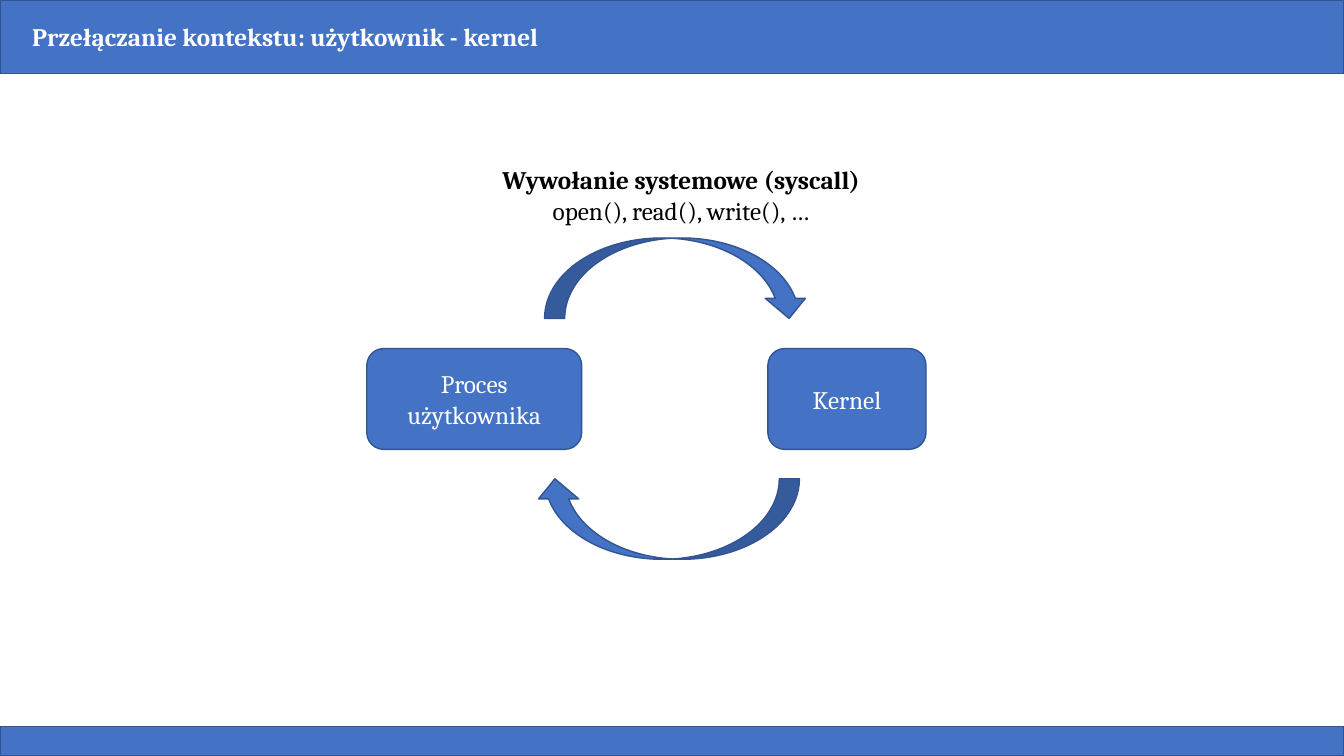
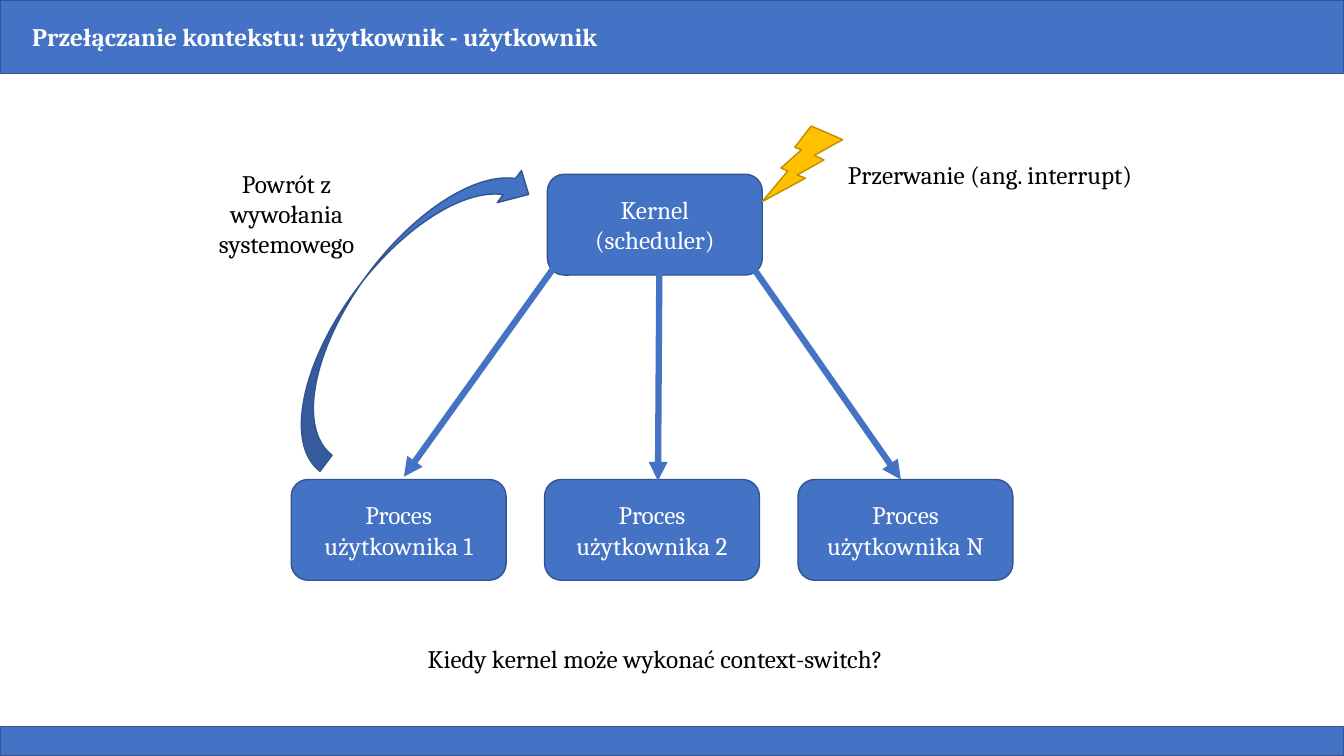
from lxml import etree
from pptx import Presentation
from pptx.dml.color import RGBColor
from pptx.enum import shapes, text
from pptx.oxml import ns
from pptx.util import Pt

COLORS = {
    "blue": "4472C4",
    "blue_edge": "325491",
    "gold": "FFC000",
    "gold_edge": "BD8E00",
    "white": "FFFFFF",
    "black": "000000",
}
FONT = "Cambria"
FONT_SIZE = 18
SLIDE_WIDTH, SLIDE_HEIGHT = 960, 540
TITLE_HEIGHT, TITLE_INDENT = 52.5, 23
FOOTER_TOP, FOOTER_HEIGHT = 519, 20.5
BOX_WIDTH, BOX_HEIGHT = 153.5, 72
ARROW_HEIGHT = 57.5
SHAPE = shapes.MSO_SHAPE


def rgb(name):
    return RGBColor.from_string(COLORS[name])


def write(shape, content, color, align=text.PP_ALIGN.CENTER, bold_first=False):
    """Fill a shape with text, one paragraph per line."""
    frame = shape.text_frame
    frame.text = content
    frame.word_wrap = True
    for index, paragraph in enumerate(frame.paragraphs):
        paragraph.alignment = align
        for run in paragraph.runs:
            run.font.name = FONT
            run.font.size = Pt(FONT_SIZE)
            run.font.bold = bold_first and index == 0
            run.font.color.rgb = rgb(color)


def add_block(slide, kind, left, top, width, height, color="blue"):
    shape = slide.shapes.add_shape(kind, Pt(left), Pt(top), Pt(width), Pt(height))
    shape.shadow.inherit = False
    shape.fill.solid()
    shape.fill.fore_color.rgb = rgb(color)
    shape.line.color.rgb = rgb(color + "_edge")
    shape.line.width = Pt(1)
    return shape


def add_box(slide, content, left, top, width=BOX_WIDTH):
    box = add_block(slide, SHAPE.ROUNDED_RECTANGLE, left, top, width, BOX_HEIGHT)
    box.text_frame.vertical_anchor = text.MSO_ANCHOR.MIDDLE
    write(box, content, "white")


def add_curved_arrow(slide, left, top, width, rotation=0):
    arrow = add_block(slide, SHAPE.CURVED_DOWN_ARROW, left, top, width, ARROW_HEIGHT)
    arrow.rotation = rotation


def add_label(slide, content, left, top, width, height=29, bold_first=False):
    label = slide.shapes.add_textbox(Pt(left), Pt(top), Pt(width), Pt(height))
    write(label, content, "black", bold_first=bold_first)
    label.text_frame.auto_size = text.MSO_AUTO_SIZE.SHAPE_TO_FIT_TEXT


def add_straight_arrow(slide, start, end):
    points = [Pt(value) for value in (*start, *end)]
    arrow = slide.shapes.add_connector(shapes.MSO_CONNECTOR.STRAIGHT, *points)
    arrow.line.color.rgb = rgb("blue")
    arrow.line.width = Pt(4.5)
    line = arrow.line._get_or_add_ln()
    etree.SubElement(line, ns.qn("a:tailEnd"), type="triangle")
    etree.SubElement(arrow.element.spPr, ns.qn("a:effectLst"))


def add_lightning(slide, left, top, width, height):
    bolt = add_block(slide, SHAPE.LIGHTNING_BOLT, left, top, width, height, "gold")
    bolt.element.spPr.find(ns.qn("a:xfrm")).set("flipH", "1")


def add_slide(presentation, title):
    """Add a blank slide with the footer and title bands."""
    slide = presentation.slides.add_slide(presentation.slide_layouts[6])
    add_block(slide, SHAPE.RECTANGLE, 0, FOOTER_TOP, SLIDE_WIDTH, FOOTER_HEIGHT)
    band = add_block(slide, SHAPE.RECTANGLE, 0, 0, SLIDE_WIDTH, TITLE_HEIGHT)
    band.text_frame.margin_left = Pt(TITLE_INDENT)
    band.text_frame.vertical_anchor = text.MSO_ANCHOR.MIDDLE
    write(band, title, "white", text.PP_ALIGN.LEFT, bold_first=True)
    return slide


def build_user_kernel(presentation):
    slide = add_slide(presentation, "Przełączanie kontekstu: użytkownik - kernel")

    # Process and kernel
    add_box(slide, "Proces użytkownika", 262, 249)
    add_box(slide, "Kernel", 548.5, 249, 113)

    # Call and return
    add_curved_arrow(slide, 389, 170, 189)
    add_curved_arrow(slide, 382, 342, 189, rotation=180)
    add_label(slide, "Wywołanie systemowe (syscall)\nopen(), read(), write(), …",
              332, 114, 309, 51, bold_first=True)


def build_user_user(presentation):
    slide = add_slide(presentation, "Przełączanie kontekstu: użytkownik - użytkownik")

    # Process row under the scheduler
    row_left, row_top, row_step = 208, 342.5, 181
    for index, name in enumerate("12N"):
        add_box(slide, f"Proces\nużytkownika {name}", row_left + index * row_step, row_top)
    add_box(slide, "Kernel\n(scheduler)", 391, 124.5)

    # Scheduler to processes
    for start, end in (
        ((410.5, 170.5), (288.5, 340.5)),
        ((471, 188.5), (470, 343.5)),
        ((535, 187), (643.5, 342.5)),
    ):
        add_straight_arrow(slide, start, end)

    # Interrupt
    add_lightning(slide, 544.5, 90, 57.5, 54)
    add_label(slide, "Przerwanie (ang. interrupt)", 573, 110, 268.5)

    # Return from the system call
    add_curved_arrow(slide, 153.5, 186, 262, rotation=307)
    add_label(slide, "Powrót z wywołania systemowego", 125.5, 116.5, 158.5, 72.5)

    # Question
    add_label(slide, "Kiedy kernel może wykonać context-switch?", 273, 456, 390)


def main():
    presentation = Presentation()
    presentation.slide_width = Pt(SLIDE_WIDTH)
    presentation.slide_height = Pt(SLIDE_HEIGHT)
    build_user_kernel(presentation)
    build_user_user(presentation)
    presentation.save("out.pptx")


if __name__ == "__main__":
    main()
